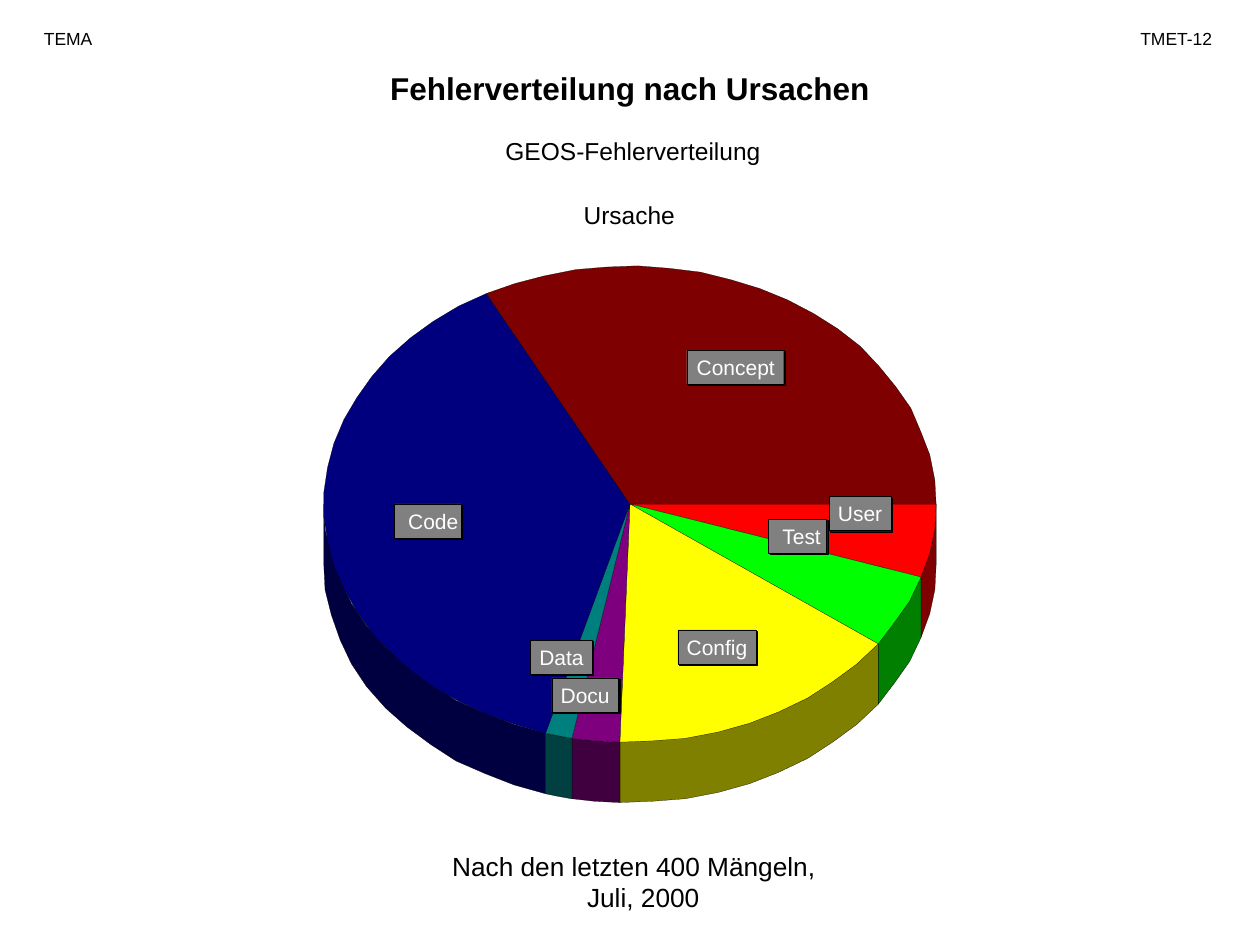
from dataclasses import dataclass
from math import cos, radians, sin
from pptx import Presentation
from pptx.dml.color import RGBColor
from pptx.enum.shapes import MSO_SHAPE
from pptx.enum.text import MSO_ANCHOR, MSO_AUTO_SIZE, PP_ALIGN
from pptx.slide import Slide
from pptx.util import Pt

EMU_PER_PX = 9144
CENTRE = (500, 400)
RADII = (243, 189)
DEPTH = 48
LABEL_HEIGHT = 27

SLICES = [
    (0, 18, "FF0000", "7F0000"),
    (18, 36, "00FF00", "007F00"),
    (36, 92, "FFFF00", "7F7F00"),
    (92, 101, "7F007F", "400040"),
    (101, 106, "007F7F", "004040"),
    (106, 242, "00007F", "000040"),
    (242, 360, "7F0000", "400000"),
]

LABELS = [
    ("Concept", 545, 278, 77, 8),
    ("Code", 313, 400, 53, 11),
    ("Data", 421, 508, 49, 7),
    ("Docu", 438, 538, 53, 7),
    ("Config", 538, 500, 62, 7),
    ("Test", 610, 412, 46, 11),
    ("User", 658, 394, 49, 7),
]

CAPTIONS = [
    ("Ursache", 458, 159, 83, 23, 14),
    ("GEOS-Fehlerverteilung", 396, 108, 213, 23, 14),
    ("Nach den letzten 400 Mängeln,", 349, 675, 308, 25, 15),
    ("Juli, 2000", 456, 699, 109, 25, 15),
]


def px(length):
    """Turn px into EMU."""
    return length * EMU_PER_PX


def colour(code):
    """Turn a hex string into a colour."""
    return RGBColor.from_string(code)


def write(frame, text, size=12, ink="000000", bold=False, align=PP_ALIGN.LEFT,
          wrap=False, insets=(0, 0)):
    """Fill a text frame with one formatted paragraph."""
    frame.word_wrap = wrap
    frame.margin_left = frame.margin_right = px(insets[0])
    frame.margin_top = frame.margin_bottom = px(insets[1])
    paragraph = frame.paragraphs[0]
    paragraph.alignment = align
    run = paragraph.add_run()
    run.text = text
    run.font.name = "Arial"
    run.font.size = Pt(size)
    run.font.bold = bold
    run.font.color.rgb = colour(ink)


def arc(start, end, drop=0):
    """List the rim points between two clockwise angles."""
    steps = max(2, round((end - start) / 6))
    angles = [radians(start + (end - start) * i / steps) for i in range(steps + 1)]
    return [(round(CENTRE[0] + RADII[0] * cos(a)),
             round(CENTRE[1] + RADII[1] * sin(a)) + drop) for a in angles]


@dataclass
class Board:
    """Holds the current slide and its style."""
    slide: Slide
    outline: str = "000000"
    label_fill: str = "808080"
    label_ink: str = "FFFFFF"

    def paint(self, shape, fill):
        """Give a shape a flat fill and a hairline."""
        shape.shadow.inherit = False
        shape.fill.solid()
        shape.fill.fore_color.rgb = colour(fill)
        shape.line.color.rgb = colour(self.outline)
        shape.line.width = Pt(0.1)
        return shape

    def polygon(self, points, fill):
        """Draw a closed outline."""
        builder = self.slide.shapes.build_freeform(*points[0], scale=EMU_PER_PX)
        builder.add_line_segments(points[1:], close=True)
        self.paint(builder.convert_to_shape(), fill)

    def box(self, left, top, width, height, fill):
        """Draw a rectangle."""
        shape = self.slide.shapes.add_shape(
            MSO_SHAPE.RECTANGLE, px(left), px(top), px(width), px(height))
        return self.paint(shape, fill)

    def label(self, name, left, top, width, indent):
        """Draw a slice label over its hard shadow."""
        self.box(left + 1, top + 1, width, LABEL_HEIGHT, self.outline)
        plate = self.box(left, top, width, LABEL_HEIGHT, self.label_fill)
        write(plate.text_frame, name, ink=self.label_ink, insets=(indent, 0))
        plate.text_frame.vertical_anchor = MSO_ANCHOR.MIDDLE

    def text(self, words, left, top, width, height, **style):
        """Add a text box that grows with its text."""
        area = self.slide.shapes.add_textbox(px(left), px(top), px(width), px(height))
        write(area.text_frame, words, **style)
        area.text_frame.auto_size = MSO_AUTO_SIZE.SHAPE_TO_FIT_TEXT


def main():
    """Build the slide."""
    deck = Presentation()
    deck.slide_width, deck.slide_height = px(1000), px(750)
    board = Board(deck.slides.add_slide(deck.slide_layouts[6]))

    for start, end, _, shade in SLICES:
        if start < 180:
            front = min(end, 180)
            board.polygon(arc(start, front) + arc(start, front, DEPTH)[::-1], shade)
    for start, end, fill, _ in SLICES:
        board.polygon(arc(start, end) + [CENTRE], fill)
    for label in LABELS:
        board.label(*label)
    for *caption, size in CAPTIONS:
        board.text(*caption, size=size, align=PP_ALIGN.CENTER)

    framed = {"wrap": True, "insets": (10, 5)}
    board.text("Fehlerverteilung nach Ursachen", 200, 50, 600, 40,
               size=18, bold=True, align=PP_ALIGN.CENTER, **framed)
    board.text("TEMA", 25, 17, 92, 27, size=10, **framed)
    board.text("TMET-12", 892, 17, 83, 27, size=10, align=PP_ALIGN.CENTER, **framed)
    deck.save("out.pptx")


if __name__ == "__main__":
    main()
